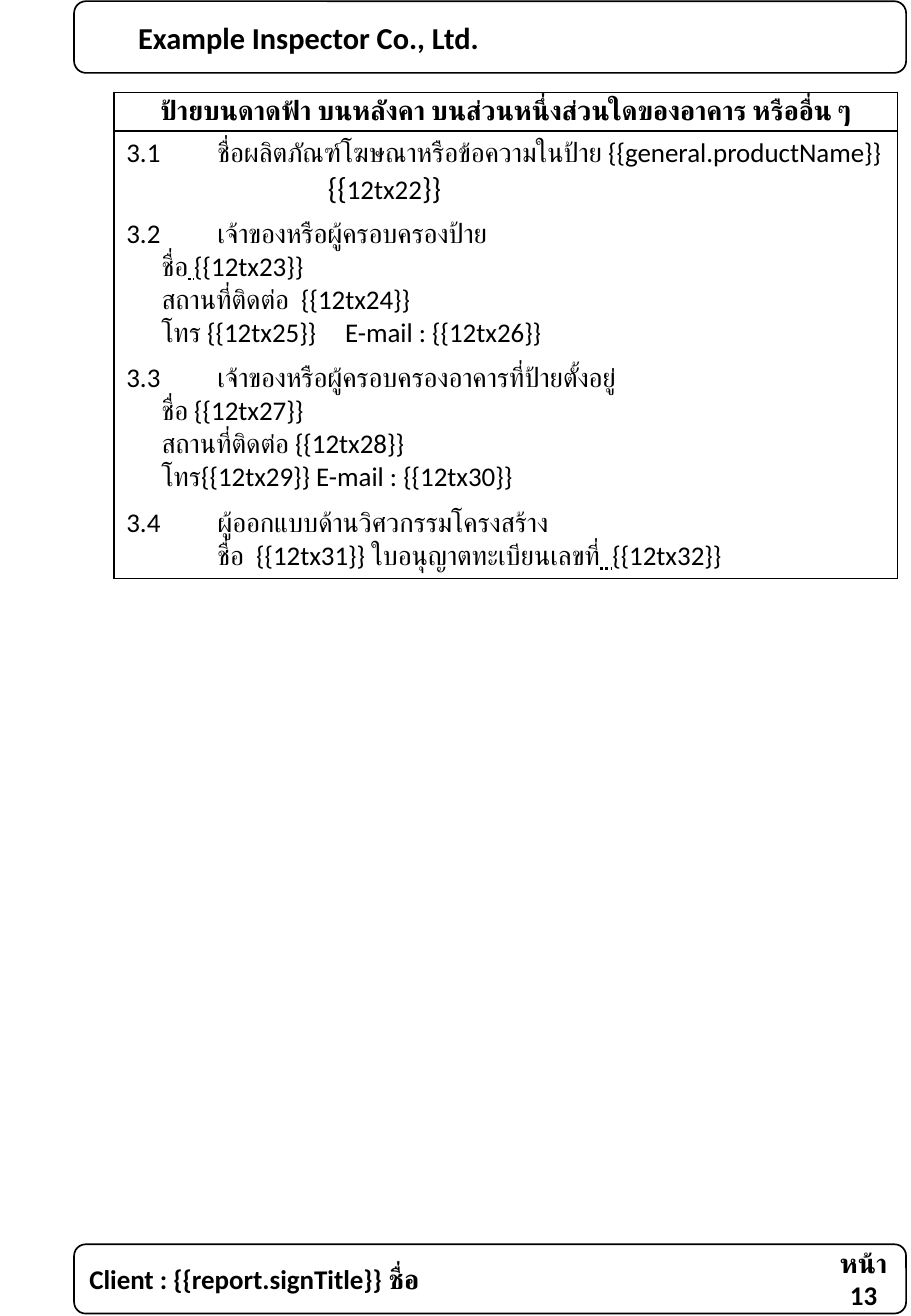
from dataclasses import dataclass

from lxml.etree import SubElement
from pptx import Presentation
from pptx.dml.color import RGBColor
from pptx.enum.shapes import MSO_SHAPE as Shape
from pptx.enum.text import MSO_ANCHOR as Anchor, MSO_UNDERLINE as Underline, PP_ALIGN as Align
from pptx.oxml.ns import qn
from pptx.util import Inches, Pt


@dataclass(frozen=True)
class Theme:
    font: str = "Calibri"
    ink: RGBColor = RGBColor(0, 0, 0)
    title: int = 18
    body: int = 16
    line: float = 1
    indent: float = 0.29
    tab: float = 0.75


THEME = Theme()
BLANK = "blank"  # dotted underlined gap
WIDE = "wide"  # one space stretched to a wide gap

HEADING = "ป้ายบนดาดฟ้า บนหลังคา บนส่วนหนึ่งส่วนใดของอาคาร หรืออื่น ๆ"

# Each section: row height, then (indented, runs) for every line
SECTIONS = [
    (0.66, [(False, ["3.1\tชื่อผลิตภัณฑ์โฆษณาหรือข้อความในป้าย {{general.productName}}"])]),
    (1.19, [
        (False, ["3.2\tเจ้าของหรือผู้ครอบครองป้าย"]),
        (True, ["ชื่อ", (" ", BLANK), "{{12tx23}}"]),
        (True, ["สถานที่ติดต่อ  {{12tx24}}"]),
        (True, ["โทร {{12tx25}}", (" ", WIDE), "E-mail : {{12tx26}}"]),
    ]),
    (1.19, [
        (False, ["3.3\tเจ้าของหรือผู้ครอบครองอาคารที่ป้ายตั้งอยู่"]),
        (True, ["ชื่อ {{12tx27}}"]),
        (True, ["สถานที่ติดต่อ {{12tx28}}"]),
        (True, ["โทร{{12tx29}} E-mail : {{12tx30}}"]),
    ]),
    (0.64, [
        (False, ["3.4\tผู้ออกแบบด้านวิศวกรรมโครงสร้าง"]),
        (False, ["\tชื่อ  {{12tx31}} ใบอนุญาตทะเบียนเลขที่", ("  ", BLANK), "{{12tx32}}"]),
    ]),
]


def write(line, runs, size=THEME.body, bold=False, indent=0, align=Align.LEFT):
    """Fill one paragraph and set its font, indent and tab stop."""
    line.alignment = align
    font = line.font
    font.name, font.size, font.bold = THEME.font, Pt(size), bold
    font.color.rgb = THEME.ink
    SubElement(font._element, qn("a:cs"), typeface=THEME.font)
    props = line._p.get_or_add_pPr()
    props.set("marL", str(Inches(indent)))
    props.set("indent", "0")
    props.set("defTabSz", str(Inches(THEME.tab)))
    for item in runs:
        text, style = item if isinstance(item, tuple) else (item, None)
        run = line.add_run()
        run.text = text
        if style == BLANK:
            run.font.bold, run.font.underline = True, Underline.DOTTED_LINE
        elif style == WIDE:
            run._r.get_or_add_rPr().set("spc", "1350")


def add_frame(slide, left, top, width, height):
    """Rounded outline; returns its text frame."""
    frame = slide.shapes.add_shape(Shape.ROUNDED_RECTANGLE, *map(Inches, (left, top, width, height)))
    frame.shadow.inherit = False
    frame.fill.background()
    frame.line.color.rgb = THEME.ink
    frame.line.width = Pt(THEME.line)
    frame.text_frame.vertical_anchor = Anchor.MIDDLE
    frame.text_frame.word_wrap = True
    return frame.text_frame


def add_header(slide, left, top, width, height):
    company = add_frame(slide, left, top, width, height)
    write(company.paragraphs[0], ["Example Inspector Co., Ltd."], THEME.title, True, indent=0.4)


def add_footer(slide, left, top, width, height):
    client = add_frame(slide, left, top, width, height)
    write(client.paragraphs[0], ["Client : {{report.signTitle}} ชื่อ"], bold=True)
    # Page number at the right end
    page_width = 0.7
    page = slide.shapes.add_textbox(
        *map(Inches, (left + width - page_width, top, page_width, height))).text_frame
    page.word_wrap = True
    page.vertical_anchor = Anchor.MIDDLE
    write(page.paragraphs[0], ["หน้า 13"], bold=True, align=Align.CENTER)


def set_borders(cell, sides):
    """Draw the named sides and clear the others."""
    props = cell._tc.get_or_add_tcPr()
    for at, side in enumerate("LRTB"):
        edge = SubElement(props, qn(f"a:ln{side}"), w=str(Pt(THEME.line)))
        if side in sides:
            fill = SubElement(edge, qn("a:solidFill"))
            SubElement(fill, qn("a:srgbClr"), val=str(THEME.ink))
        else:
            SubElement(edge, qn("a:noFill"))
        props.insert(at, edge)


def add_sign_table(slide, left, top, width):
    rows = [(0.32, None)] + SECTIONS
    height = sum(row_height for row_height, _ in rows)
    table = slide.shapes.add_table(
        len(rows), 1, *map(Inches, (left, top, width, height))).table
    table.first_row = table.horz_banding = False
    for index, (row_height, lines) in enumerate(rows):
        table.rows[index].height = Inches(row_height)
        cell = table.cell(index, 0)
        cell.fill.background()
        if lines is None:
            cell.vertical_anchor = Anchor.MIDDLE
            cell.margin_top = cell.margin_bottom = Inches(0.02)
            write(cell.text_frame.paragraphs[0], [HEADING], bold=True, align=Align.CENTER)
            set_borders(cell, "LRTB")
            continue
        cell.vertical_anchor = Anchor.TOP
        for number, (indented, runs) in enumerate(lines):
            text = cell.text_frame
            line = text.add_paragraph() if number else text.paragraphs[0]
            write(line, runs, indent=THEME.indent if indented else 0)
        first, last = index == 1, index == len(rows) - 1
        set_borders(cell, "LR" + "T" * first + "B" * last)


def add_product_field(slide, left, top, width, height):
    field = slide.shapes.add_textbox(*map(Inches, (left, top, width, height))).text_frame
    field.word_wrap = False
    line = field.paragraphs[0]
    write(line, ["{{", "12tx22", "}}"], THEME.title)
    line.runs[1].font.size = Pt(THEME.body)


def main():
    deck = Presentation()
    deck.slide_width, deck.slide_height = Inches(7.5), Inches(10.83)
    slide = deck.slides.add_slide(deck.slide_layouts[6])
    add_header(slide, 0.61, 0.01, 6.85, 0.59)
    add_footer(slide, 0.61, 10.24, 6.85, 0.57)
    add_sign_table(slide, 0.94, 0.76, 6.45)
    add_product_field(slide, 2.6, 1.34, 1.15, 0.4)
    deck.save("out.pptx")


if __name__ == "__main__":
    main()
